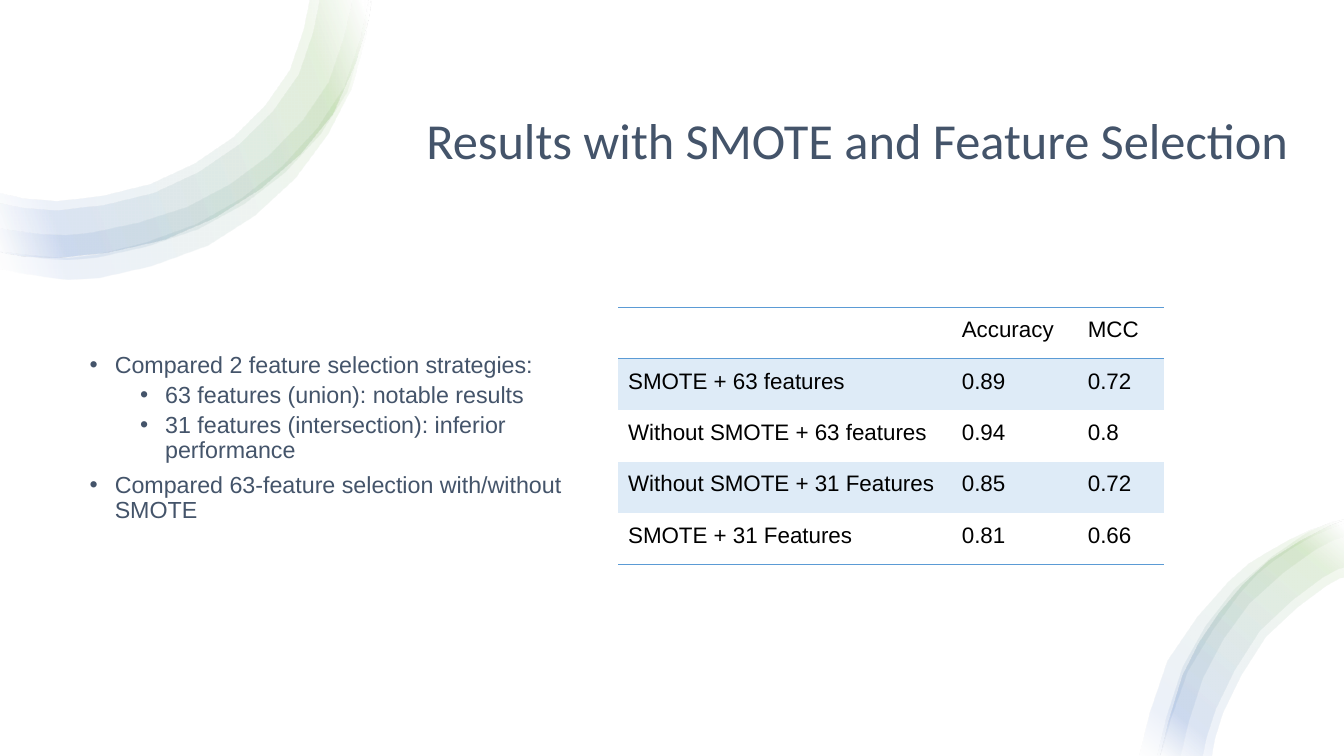
from dataclasses import dataclass

from lxml import etree
from pptx import Presentation
from pptx.dml.color import RGBColor
from pptx.enum.text import MSO_ANCHOR, MSO_AUTO_SIZE, PP_ALIGN
from pptx.oxml import parse_xml
from pptx.oxml.ns import nsdecls, qn
from pptx.util import Inches, Pt

CENTER = PP_ALIGN.CENTER
BOTTOM, MIDDLE = MSO_ANCHOR.BOTTOM, MSO_ANCHOR.MIDDLE
NO_AUTOFIT = MSO_AUTO_SIZE.NONE


@dataclass(frozen=True)
class Theme:
    slate: str = "44546A"
    black: str = "000000"
    rule: str = "5B9BD5"
    band: str = "DEEBF7"
    heading_font: str = "Calibri"
    body_font: str = "Arial"
    title_size: float = 36
    bullet_size: float = 16.6
    table_size: float = 16
    swoosh_stops: tuple = ((0, "FFFFFF"), (2, "FFFFFF"), (16, "70AD47"),
                           (85, "4472C4"), (100, "FFFFFF"))


THEME = Theme()


def style_runs(para, font, size, color):
    for span in para.runs:
        span.font.name = font
        span.font.size = Pt(size)
        span.font.bold = False
        span.font.color.rgb = RGBColor.from_string(color)


def smooth_edge(anchors, steps=2):
    """Return points of a Catmull-Rom curve through the anchors."""
    padded = [anchors[0], *anchors, anchors[-1]]
    points = [anchors[0]]
    for a, b, c, d in zip(padded, padded[1:], padded[2:], padded[3:]):
        for step in range(1, steps + 1):
            t = step / steps
            points.append(tuple(
                (2 * q + (r - p) * t + (2 * p - 5 * q + 4 * r - s) * t ** 2
                 + (3 * q - p - 3 * r + s) * t ** 3) / 2
                for p, q, r, s in zip(a, b, c, d)))
    return points


deck = Presentation()
deck.slide_width, deck.slide_height = Inches(13.33), Inches(7.5)
page = deck.slides.add_slide(deck.slide_layouts[5])
page.background.fill.solid()
page.background.fill.fore_color.rgb = RGBColor(255, 255, 255)

# Title
title = page.shapes.title
title.left, title.top = Inches(3.13), Inches(0.29)
title.width, title.height = Inches(10.75), Inches(1.45)
frame = title.text_frame
frame.text = "Results with SMOTE and Feature Selection"
frame.auto_size = NO_AUTOFIT
frame.word_wrap = True
frame.vertical_anchor = BOTTOM
frame.paragraphs[0].alignment = CENTER
frame.paragraphs[0].line_spacing = 0.9
style_runs(frame.paragraphs[0], THEME.heading_font, THEME.title_size, THEME.slate)

# Corner swooshes: each band is an outer edge and an inner edge running back
left_rim = [(3.66, 0), (3.65, 0.21), (3.3, 1.13), (2.58, 1.87), (1.63, 2.37),
            (0.56, 2.55), (0, 2.49)]
right_rim = [(13.33, 5.17), (13.17, 5.22), (12.58, 5.56), (12.09, 6.08),
             (11.73, 6.7), (11.51, 7.5)]
left_bands = [
    (left_rim,
     [(0, 1.91), (0.56, 1.99), (1.49, 1.82), (2.31, 1.36), (2.87, 0.7), (3.07, 0)]),
    (left_rim,
     [(0, 2.01), (0.56, 2.08), (1.52, 1.91), (2.37, 1.43), (2.96, 0.74), (3.17, 0)]),
    ([(3.66, 0), (3.45, 0.91), (2.83, 1.71), (1.97, 2.27), (0.97, 2.55),
      (0.44, 2.56), (0, 2.5)],
     [(0, 2.26), (0.45, 2.32), (0.93, 2.3), (1.86, 2.05), (2.67, 1.54),
      (3.26, 0.82), (3.5, 0)]),
    ([(3.68, 0), (3.48, 0.88), (2.92, 1.77), (2.06, 2.43), (0.99, 2.75),
      (0.43, 2.74), (0, 2.66)],
     [(0, 2.49), (0.45, 2.54), (0.96, 2.52), (1.94, 2.22), (2.79, 1.65),
      (3.41, 0.86), (3.65, 0)]),
]
right_bands = [
    ([(13.33, 5.15), (12.98, 5.26), (12.56, 5.48), (12.18, 5.77),
      (11.58, 6.55), (11.3, 7.5)],
     [(11.51, 7.5), (11.78, 6.66), (12.29, 5.89), (12.62, 5.57),
      (13.01, 5.32), (13.33, 5.19)]),
    (right_rim,
     [(12.02, 7.5), (12.13, 7.07), (12.55, 6.32), (13.15, 5.81), (13.33, 5.73)]),
    ([(13.33, 5.16), (12.96, 5.29), (12.24, 5.85), (11.73, 6.62), (11.48, 7.5)],
     [(11.71, 7.5), (11.93, 6.73), (12.39, 5.99), (13.04, 5.46), (13.33, 5.33)]),
    (right_rim,
     [(11.93, 7.5), (12.06, 7.03), (12.49, 6.26), (13.11, 5.73), (13.33, 5.63)]),
]
for bands, angle in ((left_bands, 200), (right_bands, 230)):
    for outer, inner in bands:
        outline = [(Inches(x), Inches(y))
                   for x, y in smooth_edge(outer) + smooth_edge(inner)]
        builder = page.shapes.build_freeform(*outline[0])
        builder.add_line_segments(outline[1:], close=True)
        swoosh = builder.convert_to_shape()
        swoosh.shadow.inherit = False
        swoosh.line.fill.background()
        swoosh.fill.gradient()
        swoosh.fill.gradient_angle = angle
        stops = next(swoosh.element.iter(qn("a:gsLst")))
        for stop in list(stops):
            stops.remove(stop)
        for position, color in THEME.swoosh_stops:
            stops.append(parse_xml(
                f'<a:gs {nsdecls("a")} pos="{position * 1000}"><a:srgbClr val="{color}">'
                '<a:alpha val="10000"/></a:srgbClr></a:gs>'))

# Bullets
bullets = [
    (0, "Compared 2 feature selection strategies:"),
    (1, "63 features (union): notable results"),
    (1, "31 features (intersection): inferior performance"),
    (0, "Compared 63-feature selection with/without SMOTE"),
]
box = page.shapes.add_textbox(Inches(0.79), Inches(3.48), Inches(5.61), Inches(1.74))
frame = box.text_frame
frame.word_wrap = True
frame.vertical_anchor = MIDDLE
frame.text = "\n".join(text for level, text in bullets)
for index, (para, (level, text)) in enumerate(zip(frame.paragraphs, bullets)):
    para.level = level
    para.line_spacing = 0.88
    para.space_before = Pt(0 if index == 0 else 4 if level else 8)
    style_runs(para, THEME.body_font, THEME.bullet_size, THEME.slate)
    properties = para._p.get_or_add_pPr()
    properties.set("marL", str(Inches(0.25 + 0.5 * level)))
    properties.set("indent", str(Inches(-0.25)))
    color = etree.SubElement(properties, qn("a:buClr"))
    etree.SubElement(color, qn("a:srgbClr"), val=THEME.slate)
    etree.SubElement(properties, qn("a:buFont"), typeface=THEME.body_font)
    etree.SubElement(properties, qn("a:buChar"), char="•")

# Results table
results = [
    ("", "Accuracy", "MCC"),
    ("SMOTE + 63 features", "0.89", "0.72"),
    ("Without SMOTE + 63 features", "0.94", "0.8"),
    ("Without SMOTE + 31 Features", "0.85", "0.72"),
    ("SMOTE + 31 Features", "0.81", "0.66"),
]
column_widths = (3.31, 1.25, 0.85)
row_height = 0.51
holder = page.shapes.add_table(
    len(results), len(column_widths), Inches(6.13), Inches(3.05),
    Inches(sum(column_widths)), Inches(row_height * len(results)))
table = holder.table
table.first_row = table.horz_banding = False
style_id = next(holder.element.iter(qn("a:tableStyleId")))
style_id.text = "{2D5ABB26-0587-4C30-8999-92F81FD0307C}"
for column, width in zip(table.columns, column_widths):
    column.width = Inches(width)
for row_index, values in enumerate(results):
    table.rows[row_index].height = Inches(row_height)
    borders = {0: ("lnT", "lnB"), len(results) - 1: ("lnB",)}.get(row_index, ())
    for column_index, value in enumerate(values):
        cell = table.cell(row_index, column_index)
        cell.margin_left = cell.margin_right = Inches(0.1)
        cell.margin_top = cell.margin_bottom = Inches(0.1)
        cell.text = value
        style_runs(cell.text_frame.paragraphs[0], THEME.body_font,
                   THEME.table_size, THEME.black)
        if row_index % 2:
            cell.fill.solid()
            cell.fill.fore_color.rgb = RGBColor.from_string(THEME.band)
        else:
            cell.fill.background()
        for place, side in enumerate(borders):
            cell._tc.get_or_add_tcPr().insert(place, parse_xml(
                f'<a:{side} {nsdecls("a")} w="{Pt(1)}"><a:solidFill>'
                f'<a:srgbClr val="{THEME.rule}"/></a:solidFill></a:{side}>'))

deck.save("out.pptx")
